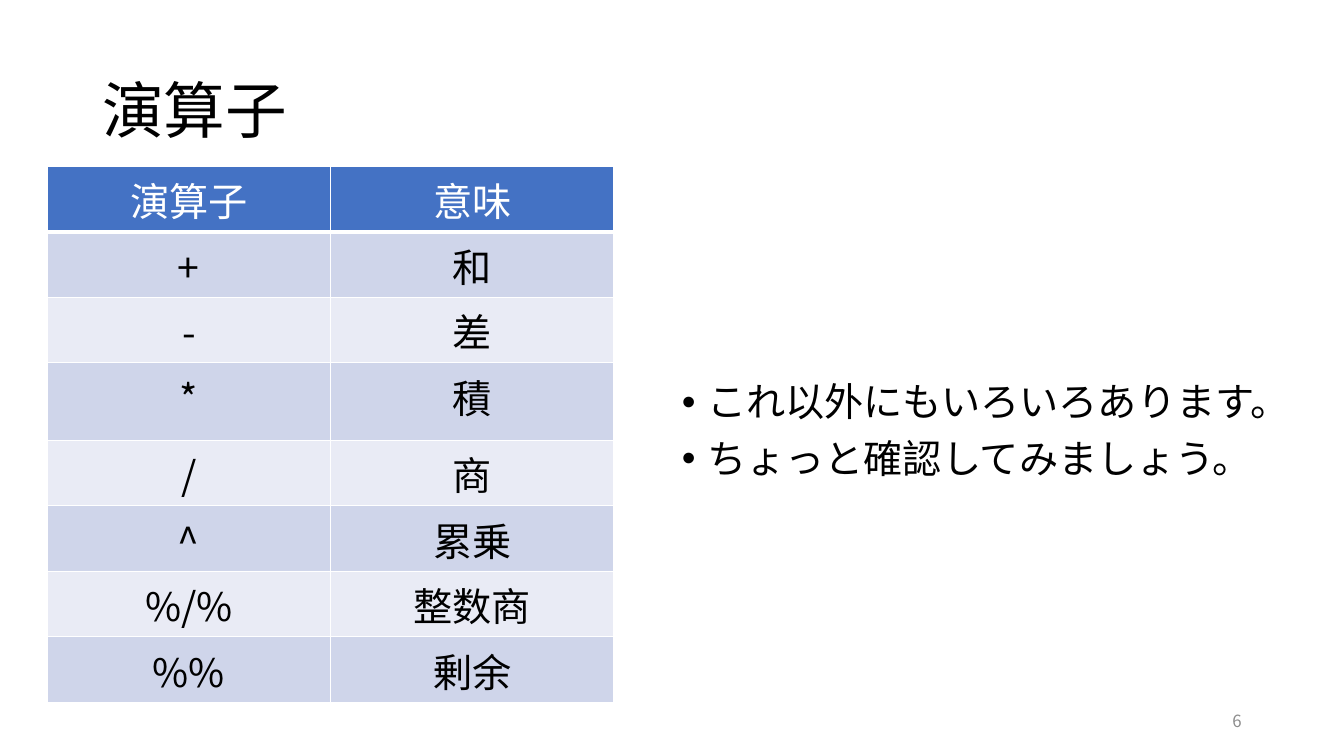
from dataclasses import dataclass

from lxml.etree import SubElement
from pptx import Presentation
from pptx.dml.color import RGBColor
from pptx.enum.text import MSO_ANCHOR, PP_ALIGN
from pptx.oxml.ns import qn
from pptx.util import Inches, Pt

COLUMNS, ROWS = 160, 90
WIDTH, HEIGHT = Inches(13.33), Inches(7.5)


@dataclass(frozen=True)
class Theme:
    """Colours, typeface and type sizes of the slide."""
    face: str = "Noto Sans CJK JP"
    ink: str = "000000"
    paper: str = "FFFFFF"
    muted: str = "8C8C8C"
    header: str = "4472C4"
    bands: tuple = ("CFD5EA", "E9EBF5")
    title: int = 44
    content: int = 28
    page: int = 12


THEME = Theme()
OPERATORS = [
    ("演算子", "意味"),
    ("+", "和"),
    ("-", "差"),
    ("*", "積"),
    ("/", "商"),
    ("^", "累乗"),
    ("%/%", "整数商"),
    ("%%", "剰余"),
]
REMARKS = ["これ以外にもいろいろあります。", "ちょっと確認してみましょう。"]
ROW_SPAN, TALL_SPAN, TALL_ROW = 7.8, 9.2, 3


def across(columns):
    """Convert grid columns to a length."""
    return round(WIDTH * columns / COLUMNS)


def down(rows):
    """Convert grid rows to a length."""
    return round(HEIGHT * rows / ROWS)


def place(left, top, columns, rows):
    """Convert a grid area to slide lengths."""
    return across(left), down(top), across(columns), down(rows)


def apply(target, formats):
    """Set each attribute named in formats."""
    for attribute, value in formats.items():
        setattr(target, attribute, value)


def write(paragraph, wording, size, colour, **formats):
    """Fill a paragraph with one styled run."""
    apply(paragraph, formats)
    run = paragraph.add_run()
    run.text = wording
    apply(run.font, {"name": THEME.face, "size": Pt(size), "bold": False})
    run.font.color.rgb = RGBColor.from_string(colour)
    SubElement(run.font._element, qn("a:ea"), typeface=THEME.face)


def add_frame(slide, area, anchor):
    """Add a wrapping text area and return its frame."""
    frame = slide.shapes.add_textbox(*place(*area)).text_frame
    apply(frame, {"word_wrap": True, "vertical_anchor": anchor})
    return frame


def add_line(slide, area, wording, size, colour, **formats):
    """Add a vertically centred single paragraph."""
    frame = add_frame(slide, area, MSO_ANCHOR.MIDDLE)
    write(frame.paragraphs[0], wording, size, colour, **formats)


def add_bullets(slide, area, remarks):
    """Add a bulleted list with hanging indents."""
    frame = add_frame(slide, area, MSO_ANCHOR.TOP)
    for index, remark in enumerate(remarks):
        paragraph = frame.add_paragraph() if index else frame.paragraphs[0]
        properties = paragraph._p.get_or_add_pPr()
        properties.set("marL", str(Inches(0.25)))
        properties.set("indent", str(-Inches(0.25)))
        SubElement(properties, qn("a:buFont"), typeface="Arial")
        SubElement(properties, qn("a:buChar"), char="•")
        write(paragraph, remark, THEME.content, THEME.ink,
              line_spacing=0.9, space_before=Pt(10 if index else 0))


def rule_cell(cell, bottom):
    """Draw the four borders of a cell."""
    properties = cell._tc.get_or_add_tcPr()
    for side, points in {"L": 1, "R": 1, "T": 1, "B": bottom}.items():
        border = SubElement(properties, qn(f"a:ln{side}"), w=str(Pt(points)))
        fill = SubElement(border, qn("a:solidFill"))
        SubElement(fill, qn("a:srgbClr"), val=THEME.paper)


def add_operators(slide, left, top, columns):
    """Add the banded table of operators and meanings."""
    spans = [TALL_SPAN if index == TALL_ROW else ROW_SPAN
             for index in range(len(OPERATORS))]
    table = slide.shapes.add_table(
        len(OPERATORS), len(OPERATORS[0]),
        *place(left, top, columns, sum(spans))).table
    for index, (entries, span) in enumerate(zip(OPERATORS, spans)):
        table.rows[index].height = down(span)
        shade = THEME.bands[(index - 1) % 2] if index else THEME.header
        colour = THEME.ink if index else THEME.paper
        for column, wording in enumerate(entries):
            cell = table.cell(index, column)
            rule_cell(cell, 1 if index else 3)
            cell.fill.solid()
            cell.fill.fore_color.rgb = RGBColor.from_string(shade)
            write(cell.text_frame.paragraphs[0], wording, THEME.content,
                  colour, alignment=PP_ALIGN.CENTER)


def main():
    """Build and save the slide."""
    deck = Presentation()
    apply(deck, {"slide_width": WIDTH, "slide_height": HEIGHT})
    slide = deck.slides.add_slide(deck.slide_layouts[6])
    add_line(slide, (11, 4.8, 138, 17.4), "演算子", THEME.title, THEME.ink,
             line_spacing=0.9)
    add_bullets(slide, (80, 45, 78, 16), REMARKS)
    add_operators(slide, 5.6, 19.8, 67.5)
    add_line(slide, (113, 83.4, 36, 4.8), "6", THEME.page, THEME.muted,
             alignment=PP_ALIGN.RIGHT)
    deck.save("out.pptx")


if __name__ == "__main__":
    main()
